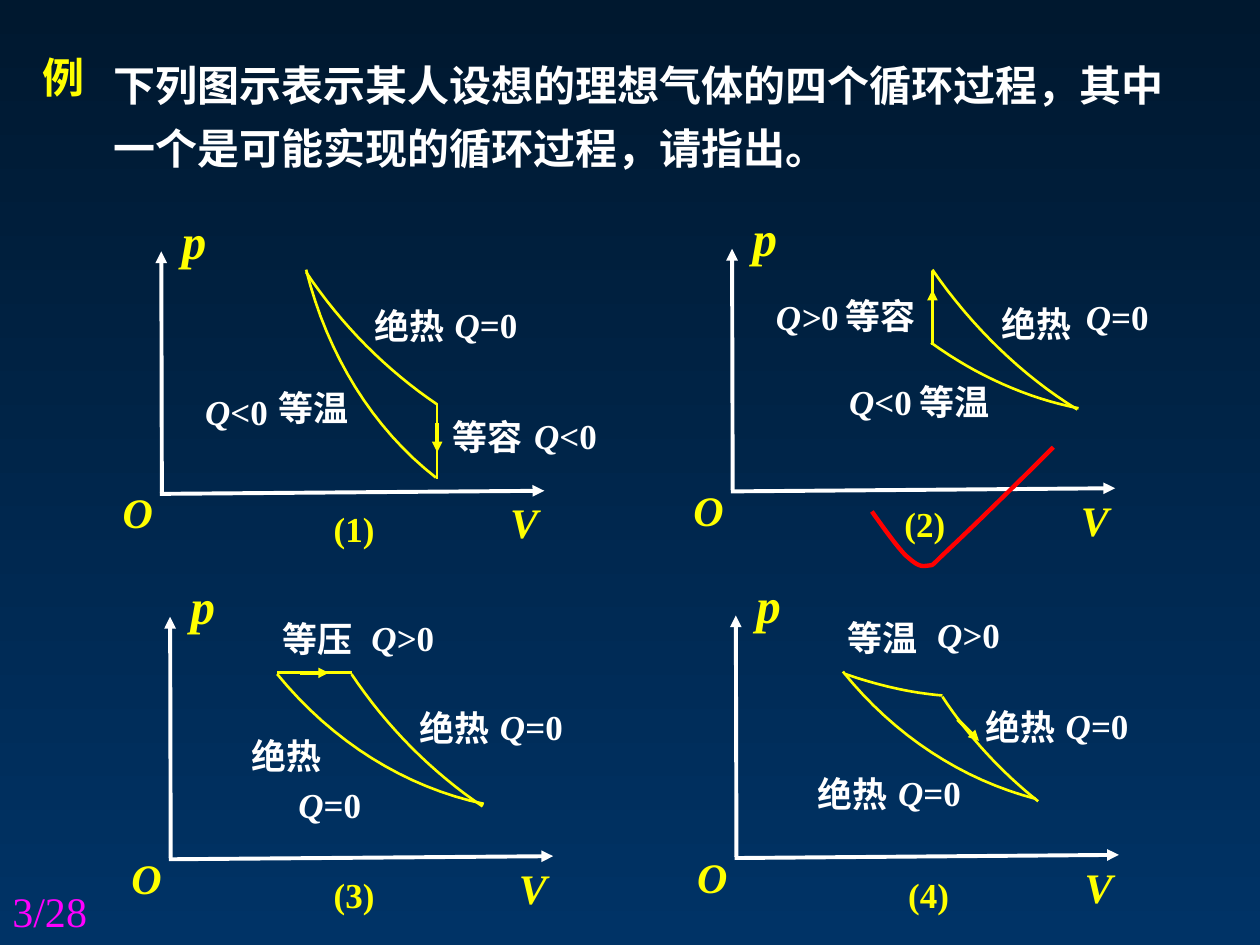
from dataclasses import dataclass

import pptx
import pptx.dml.color
import pptx.enum.dml
import pptx.enum.shapes
import pptx.enum.text
import pptx.oxml
import pptx.oxml.ns
import pptx.util
from pptx.dml.color import RGBColor

NIGHT = RGBColor(0x00, 0x18, 0x2F)
NAVY = RGBColor(0x00, 0x33, 0x66)
WHITE = RGBColor(0xFF, 0xFF, 0xFF)
YELLOW = RGBColor(0xFF, 0xFF, 0x00)
RED = RGBColor(0xFF, 0x00, 0x00)
MAGENTA = RGBColor(0xFF, 0x00, 0xFF)
SERIF = "Times New Roman"

# The slide is a grid of 100 columns by 75 rows of square cells
COLUMNS = 100
SLIDE_WIDTH = pptx.util.Inches(10)
SLIDE_HEIGHT = pptx.util.Inches(7.5)
CELL = SLIDE_WIDTH // COLUMNS
CURVE_STEPS = 16

Point = tuple[float, float]


@dataclass(frozen=True)
class Label:
    text: str
    left: float
    top: float
    italic_letters: int = 0
    width: float = 13.5
    height: float = 4.3
    size: int = 20
    color: RGBColor = WHITE
    font: str = SERIF
    bold: bool = True
    wrap: bool = True


@dataclass(frozen=True)
class Diagram:
    origin: Point
    number: Label
    curves: list[list[Point]]  # four control points each
    arrow: tuple[Point, Point]
    labels: list[Label]
    straight: tuple[Point, Point] | None = None


def number_label(number: int, left: float, top: float) -> Label:
    return Label(f"({number})", left, top, color=YELLOW, width=12)


def heat(sign: str, left: float, top: float, italic_letters: int = 1) -> Label:
    return Label(f"Q{sign}0", left, top, italic_letters, width=12)


DIAGRAMS = [
    Diagram(
        (12.7, 39.2), number_label(1, 25.5, 39.8),
        [[(34.7, 32.1), (30.7, 29.4), (27.1, 25.8), (24.3, 21.6)],
         [(34.6, 37.9), (29.6, 34), (26, 28.2), (24.3, 21.4)]],
        ((34.7, 33.6), (34.7, 35.9)),
        [Label("绝热", 28.7, 23.7), heat("=", 35.1, 23.6),
         Label("等容", 34.9, 32.5), heat("<", 41.4, 32.4),
         Label("等温", 21.1, 30.2), heat("<", 15.3, 30.5)],
        ((34.7, 32.1), (34.7, 38)),
    ),
    Diagram(
        (58, 39), number_label(2, 70.8, 39.4),
        [[(85.5, 32.5), (81.1, 29.8), (77.1, 25.9), (74, 21.4)],
         [(85.6, 32.4), (81.5, 31.6), (77.5, 29.8), (73.9, 27.2)]],
        ((74, 25.3), (74, 23)),
        [Label("绝热", 78.5, 23.5), heat("=", 85.2, 23),
         Label("等容", 66.1, 22.9), heat(">", 60.6, 23, 2),
         Label("等温", 72, 29.7), heat("<", 66.4, 29.7)],
        ((74, 21.5), (74, 27.4)),
    ),
    Diagram(
        (13.4, 68.2), number_label(3, 25.5, 68.8),
        [[(38.3, 64), (34.3, 61.3), (30.7, 57.7), (27.9, 53.5)],
         [(38.4, 63.8), (32.2, 62.5), (26.4, 58.9), (22, 53.5)]],
        ((23.8, 53.4), (26.1, 53.4)),
        [Label("绝热", 32.3, 55.6), heat("=", 38.7, 55.5),
         Label("等压", 21.4, 48.5), heat(">", 28.5, 48.4),
         Label("绝热", 19, 57.8), heat("=", 22.7, 61.7)],
        ((22, 53.4), (27.9, 53.4)),
    ),
    Diagram(
        (58.3, 68.1), number_label(4, 71.1, 68.8),
        [[(82.4, 63.6), (79.5, 61.3), (76.9, 58.5), (74.8, 55.3)],
         [(82.2, 63.4), (76.4, 61.9), (71, 58.4), (66.9, 53.3)],
         [(74.8, 55.2), (72.3, 55), (69.7, 54.4), (67.1, 53.5)]],
        ((76, 57.1), (77.7, 58.8)),
        [Label("绝热", 77.2, 55.5), heat("=", 83.6, 55.4),
         Label("等温", 66.3, 48.4), heat(">", 73.4, 48.2),
         Label("绝热", 63.9, 60.8), heat("=", 70.3, 60.7)],
    ),
]
CHECK_MARK = [
    (69.2, 40.6), (70.2, 42), (71.2, 43.4), (71.9, 44.1),
    (72.7, 44.8), (73, 45), (73.6, 44.9),
    (74.2, 44.8), (73.7, 45.1), (75.3, 43.6),
    (77, 42), (80.3, 38.8), (83.6, 35.5),
]


def cells(count: float) -> int:
    return round(count * CELL)


def write_text(shape, label: Label) -> None:
    frame = shape.text_frame
    frame.word_wrap = label.wrap
    frame.auto_size = pptx.enum.text.MSO_AUTO_SIZE.SHAPE_TO_FIT_TEXT
    frame.vertical_anchor = pptx.enum.text.MSO_ANCHOR.TOP
    paragraph = frame.paragraphs[0]
    paragraph.alignment = pptx.enum.text.PP_ALIGN.LEFT
    font = paragraph.font
    font.name, font.size = label.font, pptx.util.Pt(label.size)
    font.bold, font.color.rgb = label.bold, label.color
    split = label.italic_letters
    for text, italic in ((label.text[:split], True), (label.text[split:], False)):
        if text:
            run = paragraph.add_run()
            run.text = text
            run.font.italic = italic


def draw_label(shapes, label: Label) -> None:
    box = shapes.add_textbox(*map(cells, (label.left, label.top, label.width, label.height)))
    write_text(box, label)


def draw_line(shapes, start: Point, end: Point, color: RGBColor,
              width: float, arrow: bool = False) -> None:
    line = shapes.add_connector(pptx.enum.shapes.MSO_CONNECTOR.STRAIGHT,
                                *map(cells, (*start, *end)))
    line.line.color.rgb = color
    line.line.width = pptx.util.Pt(width)
    if arrow:
        tail = pptx.oxml.parse_xml(f'<a:tailEnd {pptx.oxml.ns.nsdecls("a")} type="triangle"/>')
        line.line._get_or_add_ln().append(tail)
    effects = pptx.oxml.parse_xml(f'<a:effectLst {pptx.oxml.ns.nsdecls("a")}/>')
    line._element.spPr.append(effects)


def curve_point(controls: list[Point], t: float) -> Point:
    weights = ((1 - t) ** 3, 3 * t * (1 - t) ** 2, 3 * t ** 2 * (1 - t), t ** 3)
    x, y = (cells(sum(w * c for w, c in zip(weights, axis))) for axis in zip(*controls))
    return x, y


def draw_curve(shapes, controls: list[Point], color: RGBColor, width: float) -> None:
    """Draw joined cubic curves; each one begins where the last one ends."""
    points = [curve_point(controls[first:first + 4], step / CURVE_STEPS)
              for first in range(0, len(controls) - 1, 3)
              for step in range(1, CURVE_STEPS + 1)]
    builder = shapes.build_freeform(*map(cells, controls[0]), scale=1.0)
    builder.add_line_segments(points, close=False)
    curve = builder.convert_to_shape()
    curve.shadow.inherit = False
    curve.fill.background()
    curve.line.color.rgb = color
    curve.line.width = pptx.util.Pt(width)


def draw_axes(shapes, origin: Point) -> None:
    x, y = origin
    group = shapes.add_group_shape().shapes
    draw_line(group, (x, y), (x + 30.5, y - 0.25), WHITE, 2.25, arrow=True)
    draw_line(group, (x + 0.15, y - 0.1), (x + 0.1, y - 19.25), WHITE, 2.25, arrow=True)
    for text, left, top, width, height, size in (
        ("V", 26.8, -0.25, 4.2, 5, 24),
        ("p", 0.75, -23, 4, 5.7, 28),
        ("O", -3.95, -1.05, 4.4, 5, 24),
    ):
        draw_label(group, Label(text, x + left, y + top, 1, width, height,
                                size, YELLOW, wrap=False))


def draw_diagram(shapes, diagram: Diagram) -> None:
    draw_axes(shapes, diagram.origin)
    for controls in diagram.curves:
        draw_curve(shapes, controls, YELLOW, 1.5)
    if diagram.straight:
        draw_line(shapes, *diagram.straight, YELLOW, 1.5)
    draw_line(shapes, *diagram.arrow, YELLOW, 2, arrow=True)
    for label in (*diagram.labels, diagram.number):
        draw_label(shapes, label)


def main() -> None:
    presentation = pptx.Presentation()
    presentation.slide_width, presentation.slide_height = SLIDE_WIDTH, SLIDE_HEIGHT
    slide = presentation.slides.add_slide(presentation.slide_layouts.get_by_name("Title Only"))

    # Background
    fill = slide.background.fill
    fill.gradient()
    fill.gradient_angle = 270
    for stop, color in zip(fill.gradient_stops, (NIGHT, NAVY)):
        stop.color.rgb = color

    # Question
    question = Label("下列图示表示某人设想的理想气体的四个循环过程，其中一个是可能实现的循环过程，请指出。",
                     8, 3.2, width=87.3, height=11, size=24)
    title = slide.shapes.title
    title.left, title.top, title.width, title.height = map(
        cells, (question.left, question.top, question.width, question.height))
    write_text(title, question)
    title.text_frame.paragraphs[0].line_spacing = 1.25
    draw_label(slide.shapes, Label("例", 2.4, 3.6, width=5.4, height=5, size=24,
                                   color=YELLOW, font="Arial", wrap=False))

    # Four cycles, the answer's check mark and the page number
    for diagram in DIAGRAMS:
        draw_diagram(slide.shapes, diagram)
    draw_curve(slide.shapes, CHECK_MARK, RED, 2.5)
    draw_label(slide.shapes, Label("3/28", 0, 69.8, width=23.3, height=5.2, size=24,
                                   color=MAGENTA, bold=False))
    presentation.save("out.pptx")


if __name__ == "__main__":
    main()
